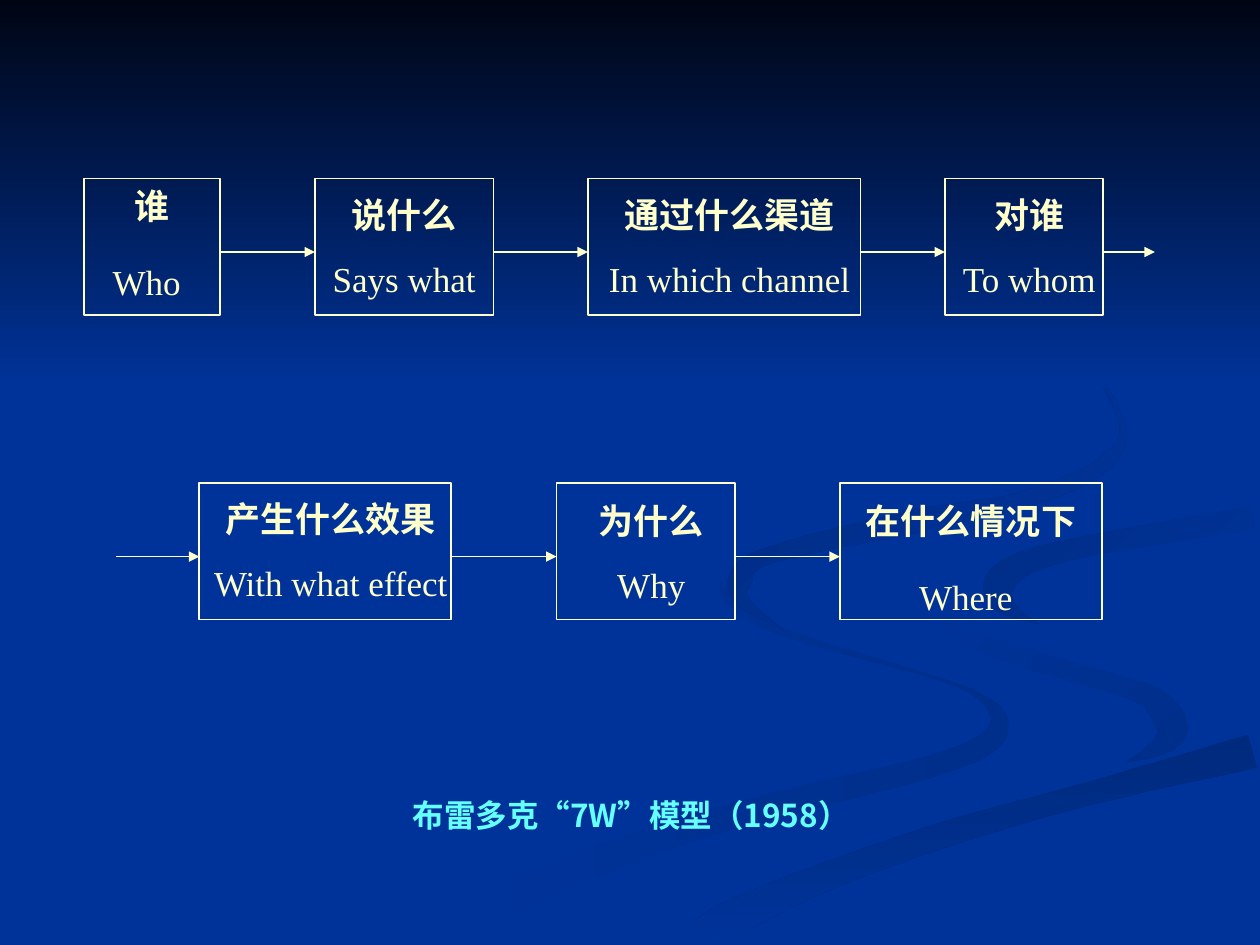
import collections
import math

import lxml.etree
import pptx
import pptx.dml.color
import pptx.enum.shapes
import pptx.enum.text
import pptx.oxml.ns
import pptx.util

Cm = pptx.util.Cm
Pt = pptx.util.Pt
qn = pptx.oxml.ns.qn
CENTER = pptx.enum.text.PP_ALIGN.CENTER
LATIN = "Times New Roman"
HAN = "Noto Sans CJK SC"
SLIDE_WIDTH, SLIDE_HEIGHT, SKY_HEIGHT = 25.4, 19.05, 7.82
BOX_HEIGHT, ARROW_DROP = 2.75, 1.48
STEPS_PER_SPAN = 6
UNITS_PER_CM = 100

color_hex = {
    "ground": "003399", "night": "000514", "cream": "FFFFCC", "aqua": "66FFFF",
    "ribbon": "002E8B", "road": "002A7D", "bend": "002D86", "loop": "002B82",
}
colors = {name: pptx.dml.color.RGBColor.from_string(value) for name, value in color_hex.items()}
chinese_format = {"size": Pt(20), "bold": True, "name": LATIN}
english_format = {"size": Pt(20), "bold": False, "name": LATIN}
space_format = {"size": Pt(24), "bold": False, "name": LATIN}

Ribbon = collections.namedtuple("Ribbon", "start_color end_color angle stations")
Row = collections.namedtuple("Row", "top entry exit questions")
Question = collections.namedtuple(
    "Question", "left width text_width shift drop chinese english trailing_space")

presentation = pptx.Presentation()
presentation.slide_width = Cm(SLIDE_WIDTH)
presentation.slide_height = Cm(SLIDE_HEIGHT)
slide = presentation.slides.add_slide(presentation.slide_layouts[6])
slide.background.fill.solid()
slide.background.fill.fore_color.rgb = colors["ground"]


def add_words(paragraph, words, color, formats):
    paragraph.alignment = CENTER
    run = paragraph.add_run()
    run.text = words
    for key, value in formats.items():
        setattr(run.font, key, value)
    run.font.color.rgb = colors[color]
    lxml.etree.SubElement(run.font._element, qn("a:ea")).set("typeface", HAN)


def add_text_frame(left, top, width, height):
    frame = slide.shapes.add_textbox(Cm(left), Cm(top), Cm(width), Cm(height)).text_frame
    settings = {"word_wrap": True, "auto_size": pptx.enum.text.MSO_AUTO_SIZE.SHAPE_TO_FIT_TEXT}
    for key, value in settings.items():
        setattr(frame, key, value)
    return frame


Station = collections.namedtuple("Station", "x y breadth")
ribbons = [
    Ribbon("ground", "ribbon", 0, [
        (14.55, 11.7, 0), (14.7, 12.1, 0.18), (15.75, 12.73, 0.15), (18.87, 13.67, 0.05),
        (19.79, 14.07, 0.13), (20.14, 14.53, 0.36), (19.89, 14.99, 0.43), (18.64, 15.49, 0.43),
        (16.08, 16.12, 0.5), (13.08, 16.97, 0.56), (8.76, 18.67, 0.71)]),
    Ribbon("ground", "ribbon", 315, [
        (18.39, 11.79, 0), (18.62, 12.32, 0.13), (20.17, 13.11, 0.36), (22.81, 13.89, 0.41),
        (23.37, 14.22, 0.56), (23.62, 14.66, 0.64), (23.39, 15.04, 0.38), (22.71, 15.37, 0)]),
    Ribbon("road", "ground", 270, [
        (25.25, 15.14, 0.69), (21.95, 16, 0.46), (19.25, 16.76, 0.5), (16.64, 17.68, 0.56),
        (14.68, 18.54, 0.69), (13.97, 18.85, 0.38)]),
    Ribbon("bend", "ground", 315, [
        (25.25, 10.44, 0.46), (22.12, 10.97, 0.41), (20.8, 11.3, 0.48), (20.19, 11.68, 0.61),
        (20.17, 12.04, 0.56), (20.45, 12.34, 0.23), (20.98, 12.6, 0)]),
    Ribbon("loop", "ground", 315, [
        (19.35, 5.92, 0), (20.98, 6.73, 0.05), (22.1, 7.57, 0.08), (22.64, 8.64, 0.13),
        (22.35, 9.27, 0.28), (21.54, 9.75, 0.33), (20.29, 10.16, 0.33), (18.31, 10.54, 0.46),
        (15.49, 11.2, 0.33), (14.91, 11.71, 0.48), (14.99, 12.14, 0.25), (15.8, 12.7, 0)]),
]

scenery = []
for ribbon in ribbons:
    knots = [ribbon.stations[0], *ribbon.stations, ribbon.stations[-1]]
    curve = []
    for span in zip(knots, knots[1:], knots[2:], knots[3:]):
        for step in range(STEPS_PER_SPAN):
            t = step / STEPS_PER_SPAN
            curve.append(Station(*(
                b + t * (c - a) / 2 + t**2 * (2 * a - 5 * b + 4 * c - d) / 2
                + t**3 * (3 * b - a - 3 * c + d) / 2
                for a, b, c, d in zip(*span))))
    curve.append(Station(*ribbon.stations[-1]))

    left_edge, right_edge = [], []
    for before, here, after in zip(curve[:1] + curve, curve, curve[1:] + curve[-1:]):
        heading = math.atan2(after.y - before.y, after.x - before.x)
        for edge, side in ((left_edge, 0.5), (right_edge, -0.5)):
            offset = side * max(here.breadth, 0)
            edge.append(((here.x + offset * math.sin(heading)) * UNITS_PER_CM,
                         (here.y - offset * math.cos(heading)) * UNITS_PER_CM))
    outline = left_edge + right_edge[::-1]
    builder = slide.shapes.build_freeform(*outline[0], scale=Cm(1) / UNITS_PER_CM)
    builder.add_line_segments(outline[1:], close=True)
    scenery.append((builder.convert_to_shape(), ribbon.start_color, ribbon.end_color, ribbon.angle))

sky = slide.shapes.add_shape(
    pptx.enum.shapes.MSO_SHAPE.RECTANGLE, 0, 0, Cm(SLIDE_WIDTH), Cm(SKY_HEIGHT))
scenery.append((sky, "night", "ground", 270))

for scene, start_color, end_color, angle in scenery:
    scene.shadow.inherit = False
    scene.line.fill.background()
    scene.fill.gradient()
    scene.fill.gradient_angle = angle
    for stop, color in zip(scene.fill.gradient_stops, (start_color, end_color)):
        stop.color.rgb = colors[color]

rows = [
    Row(3.6, None, 23.28, [
        Question(1.69, 2.75, 2.75, 0, 0, "谁", "Who", True),
        Question(6.35, 3.6, 5.72, 0, 0.17, "说什么", "Says what", False),
        Question(11.85, 5.5, 5.72, 0.11, 0.17, "通过什么渠道", "In which channel", False),
        Question(19.05, 3.18, 3.39, 0.11, 0.17, "对谁", "To whom", False),
    ]),
    Row(9.74, 2.33, None, [
        Question(4.02, 5.08, 6.99, 0.11, 0.17, "产生什么效果", "With what effect", False),
        Question(11.22, 3.6, 3.39, 0.11, 0.21, "为什么", "Why", False),
        Question(16.93, 5.29, 4.87, 0, 0.21, "在什么情况下", "Where", True),
    ]),
]
for row in rows:
    for question in row.questions:
        box = slide.shapes.add_shape(
            pptx.enum.shapes.MSO_SHAPE.RECTANGLE,
            Cm(question.left), Cm(row.top), Cm(question.width), Cm(BOX_HEIGHT))
        box.shadow.inherit = False
        box.fill.background()
        box.line.color.rgb = colors["cream"]
        box.line.width = Pt(1)

        text_left = question.left + (question.width - question.text_width) / 2 + question.shift
        text_height = 2.64 if question.trailing_space else 2.39
        frame = add_text_frame(text_left, row.top + question.drop, question.text_width, text_height)
        add_words(frame.paragraphs[0], question.chinese, "cream", chinese_format)
        translation = frame.add_paragraph()
        translation.space_before = Pt(15 if question.trailing_space else 12.5)
        add_words(translation, question.english, "cream", english_format)
        if question.trailing_space:
            add_words(translation, " ", "cream", space_format)

    departures = [row.entry] + [question.left + question.width for question in row.questions]
    arrivals = [question.left for question in row.questions] + [row.exit]
    arrow_y = Cm(row.top + ARROW_DROP)
    for departure, arrival in zip(departures, arrivals):
        if departure is None or arrival is None:
            continue
        arrow = slide.shapes.add_connector(
            pptx.enum.shapes.MSO_CONNECTOR.STRAIGHT, Cm(departure), arrow_y, Cm(arrival), arrow_y)
        arrow.line.color.rgb = colors["cream"]
        arrow.line.width = Pt(1)
        lxml.etree.SubElement(arrow.line._get_or_add_ln(), qn("a:tailEnd")).set("type", "triangle")
        lxml.etree.SubElement(arrow._element.spPr, qn("a:effectLst"))

caption = add_text_frame(3.3, 15.93, 18.85, 1.02).paragraphs[0]
for words, face in [("布雷多克", HAN), ("“", LATIN), ("7W", HAN), ("”", LATIN), ("模型（1958）", HAN)]:
    add_words(caption, words, "aqua", {"size": Pt(18), "bold": True, "name": face})

presentation.save("out.pptx")
